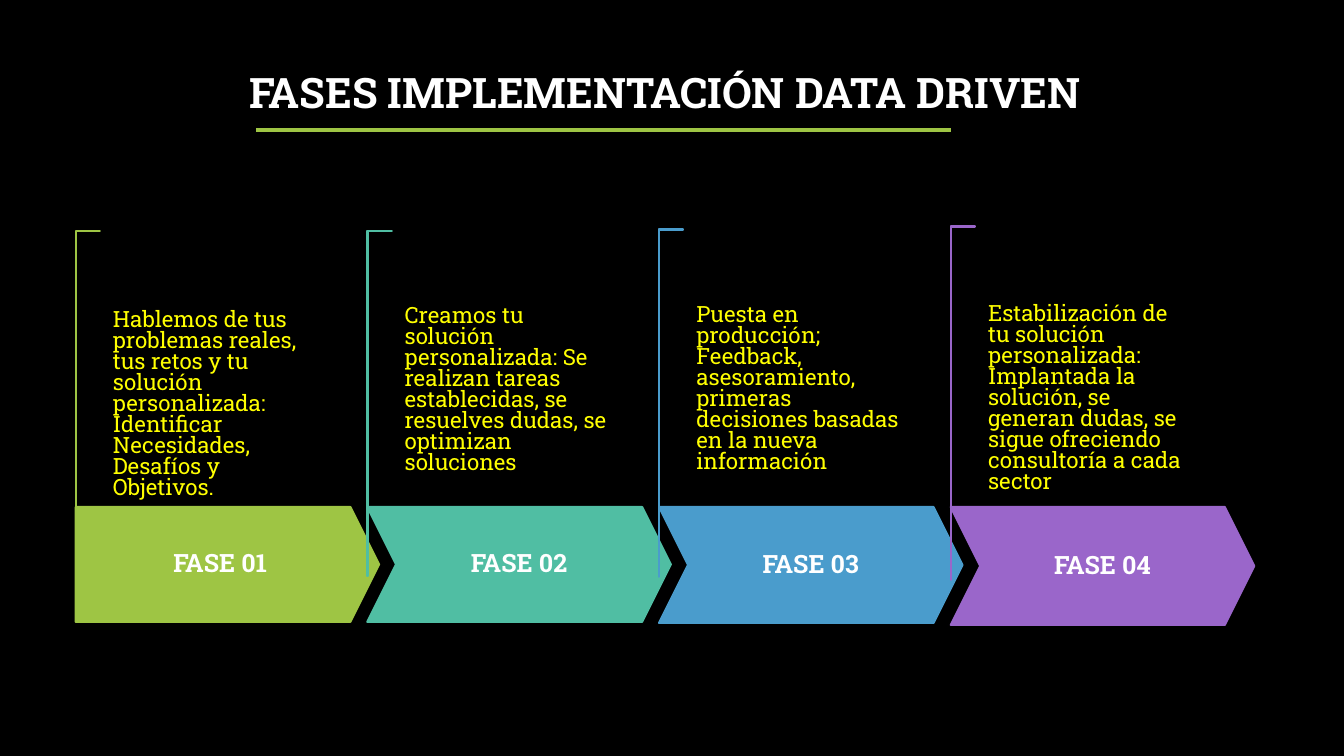
from pptx import Presentation
from pptx.dml.color import RGBColor
from pptx.enum.shapes import MSO_CONNECTOR, MSO_SHAPE
from pptx.enum.text import MSO_ANCHOR, MSO_AUTO_SIZE, PP_ALIGN
from pptx.oxml.ns import qn
from pptx.util import Inches, Pt
from lxml import etree

COLORS = {
    "black": "000000",
    "white": "FFFFFF",
    "yellow": "FFFF00",
    "green": "9EC544",
    "teal": "50BEA3",
    "blue": "4A9CCC",
    "purple": "9A66CA",
}
PHASES = [
    ("green", 1.14, 2.58, MSO_ANCHOR.MIDDLE,
     "Hablemos de tus problemas reales, tus retos y tu solución personalizada: "
     "Identificar Necesidades, Desafíos y Objetivos."),
    ("teal", 1.14, 2.58, MSO_ANCHOR.TOP,
     "Creamos tu solución personalizada: Se realizan tareas establecidas, "
     "se resuelves dudas, se optimizan soluciones"),
    ("blue", 1.15, 2.57, MSO_ANCHOR.TOP,
     "Puesta en producción; Feedback, asesoramiento, primeras decisiones "
     "basadas en la nueva información"),
    ("purple", 1.17, 2.56, MSO_ANCHOR.TOP,
     "Estabilización de tu solución personalizada: Implantada la solución, "
     "se generan dudas, se sigue ofreciendo consultoría a cada sector"),
]
FIRST_LEFT, LAST_LEFT = 0.75, 9.43
ARROW_TOP, ARROW_WIDTH = 5.03, 3.01
BRACKET_MIDDLE, BRACKET_DEPTH = 4.0, 0.24


def write(shape, text, size, color, bold, align, spacing, anchor, insets):
    frame = shape.text_frame
    frame.word_wrap = True
    frame.auto_size = MSO_AUTO_SIZE.NONE
    frame.vertical_anchor = anchor
    (frame.margin_left, frame.margin_top,
     frame.margin_right, frame.margin_bottom) = [Inches(inset) for inset in insets]
    para = frame.paragraphs[0]
    para.text = text
    para.alignment = align
    para.line_spacing = spacing
    para.font.name = "Roboto Slab"
    para.font.size = Pt(size)
    para.font.bold = bold
    para.font.color.rgb = RGBColor.from_string(COLORS[color])


def add_outlined(kind, left, top, width, height, fill, line):
    shape = page.shapes.add_shape(
        kind, Inches(left), Inches(top), Inches(width), Inches(height))
    shape.shadow.inherit = False
    shape.fill.solid()
    shape.fill.fore_color.rgb = RGBColor.from_string(COLORS[fill])
    shape.line.color.rgb = RGBColor.from_string(COLORS[line])
    shape.line.width = Pt(1.5)
    return shape


deck = Presentation()
deck.slide_width = Inches(13.33)
deck.slide_height = Inches(7.5)
page = deck.slides.add_slide(deck.slide_layouts[5])
page.background.fill.solid()
page.background.fill.fore_color.rgb = RGBColor.from_string(COLORS["black"])

title = page.shapes.title
title.left, title.top = Inches(0.74), Inches(0.22)
title.width, title.height = Inches(11.71), Inches(1.45)
write(title, "FASES IMPLEMENTACIÓN DATA DRIVEN", 30, "white", True,
      PP_ALIGN.CENTER, 0.9, MSO_ANCHOR.MIDDLE, (0.1, 0.05, 0.1, 0.05))

underline = page.shapes.add_connector(
    MSO_CONNECTOR.STRAIGHT, Inches(2.54), Inches(1.29), Inches(9.43), Inches(1.29))
underline.line.color.rgb = RGBColor.from_string(COLORS["green"])
underline.line.width = Pt(3)
etree.SubElement(underline._element.spPr, qn("a:effectLst"))

step = (LAST_LEFT - FIRST_LEFT) / (len(PHASES) - 1)
for index, (color, height, text_top, anchor, description) in enumerate(PHASES):
    left = FIRST_LEFT + index * step

    length = 3 * height
    bracket = add_outlined(
        MSO_SHAPE.CORNER, left + (BRACKET_DEPTH - length) / 2,
        BRACKET_MIDDLE - BRACKET_DEPTH / 2, length, BRACKET_DEPTH, "white", color)
    bracket.rotation = 90
    bracket.adjustments[0] = bracket.adjustments[1] = 0.01

    kind = MSO_SHAPE.CHEVRON if index else MSO_SHAPE.PENTAGON
    arrow = add_outlined(kind, left, ARROW_TOP, ARROW_WIDTH, height, color, color)
    arrow.adjustments[0] = 0.25
    write(arrow, f"FASE {index + 1:02}", 18, "white", True, PP_ALIGN.CENTER,
          0.9, MSO_ANCHOR.MIDDLE, (0.12, 0.25, 0.12, 0.25))

    box = page.shapes.add_textbox(
        Inches(left + 0.25), Inches(text_top), Inches(2.45), Inches(2.41))
    write(box, description, 16, "yellow", False, PP_ALIGN.LEFT,
          Pt(15), anchor, (0.12, 0.47, 0.31, 0))

deck.save("out.pptx")
